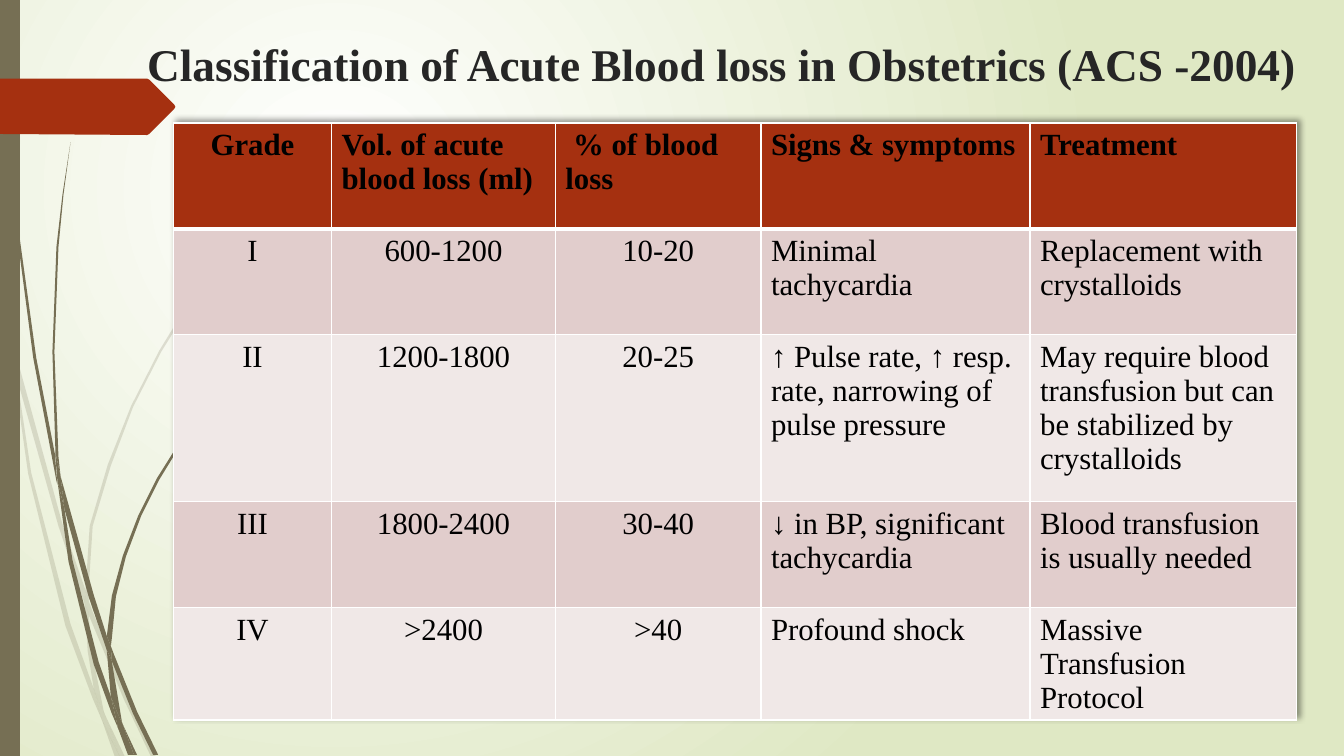
from dataclasses import dataclass

from lxml import etree
from pptx import Presentation
from pptx.dml.color import RGBColor
from pptx.enum import text
from pptx.oxml import ns
from pptx.util import Pt


@dataclass(frozen=True)
class Theme:
    font: str = "Times New Roman"
    title_size: float = 32.4
    table_size: float = 22
    title: str = "262626"
    ink: str = "000000"
    stem: str = "766F54"
    accent: str = "A53010"
    band_dark: str = "E1CDCC"
    band_light: str = "F0E8E7"
    white: str = "FFFFFF"
    meadow: str = "DFE8C4"


THEME = Theme()
OUTLINE_UNIT = Pt(0.72)

PALE_STEMS = [
    [11, 350, 9, 322, 0, 282, 0, 299, 10, 344],
    [58, 522, 84, 599, 85, 586, 62, 520, 14, 345, 17, 376],
    [92, 607, 88, 596, 88, 610, 123, 694, 150, 751, 155, 751, 127, 692],
    [119, 751, 124, 751, 105, 711],
    [93, 683, 70, 619, 31, 469, 17, 376, 11, 350, 28, 470, 65, 621, 92, 693,
     101, 714, 99, 707],
    [84, 599, 87, 646, 93, 683, 96, 692, 105, 711, 103, 706, 91, 646, 88, 610,
     88, 608],
    [88, 584, 92, 522, 110, 462, 132, 404, 160, 349, 193, 296, 229, 245, 268, 198,
     290, 175, 312, 154, 312, 153, 289, 175, 268, 197, 228, 244, 191, 294, 158, 348,
     130, 403, 107, 461, 89, 522, 85, 584, 85, 586, 88, 596],
    [101, 714, 114, 751, 119, 751],
    [88, 608, 88, 610, 88, 596, 85, 586, 84, 599],
    [96, 692, 93, 683, 99, 707, 101, 714, 119, 751, 105, 711],
]

DARK_STEMS = [
    [7, 110, 17, 233, 33, 355, 56, 477, 57, 481, 55, 457, 55, 453, 36, 355,
     19, 232, 8, 109, 5, 48, 4, 0, 3, 0, 4, 48],
    [88, 592, 106, 645, 106, 633, 106, 631, 93, 590, 60, 472, 64, 505],
    [113, 649, 110, 641, 111, 656, 132, 708, 152, 749, 157, 749, 136, 706],
    [110, 691, 98, 657, 72, 556, 64, 505, 57, 477, 68, 557, 93, 659, 111, 708,
     117, 722, 116, 717],
    [60, 472, 58, 453, 54, 349, 58, 245, 63, 193, 70, 141, 62, 193, 56, 245,
     52, 349, 55, 449],
    [133, 749, 136, 749, 122, 719],
    [57, 477, 64, 505, 60, 472, 55, 449, 55, 453],
    [111, 633, 115, 592, 125, 552, 140, 512, 158, 476, 180, 440, 205, 406, 231, 374,
     245, 359, 261, 344, 260, 344, 245, 358, 231, 373, 204, 405, 178, 439, 156, 474,
     137, 512, 122, 551, 111, 591, 106, 631, 110, 641],
    [117, 722, 127, 749, 131, 749],
    [106, 645, 110, 691, 116, 706, 122, 719, 121, 716, 111, 656, 109, 651],
    [106, 645, 109, 651, 111, 656, 110, 641, 106, 631, 106, 633],
    [116, 706, 110, 691, 116, 717, 117, 722, 130, 749, 133, 749, 122, 719],
]

SIDE_BAR = [0, 0, 20, 0, 20, 750, 0, 750]
PAGE_TAB = [0, 78, 146, 78, 148, 79, 173, 104, 174, 106, 173, 108, 148, 133, 146, 134, 0, 133]

COLUMN_WIDTHS = [113.04, 159.84, 146.88, 192.24, 190.08]
ROW_HEIGHTS = [75.6, 75.6, 119.52, 75.6, 75.6]
CENTRED_COLUMNS = 3
GRADES = [
    ["Grade", "Vol. of acute blood loss (ml)", " % of blood loss", "Signs & symptoms", "Treatment"],
    ["I", "600-1200", "10-20", "Minimal tachycardia", "Replacement with crystalloids"],
    ["II", "1200-1800", "20-25", "↑ Pulse rate, ↑ resp. rate, narrowing of pulse pressure",
     "May require blood transfusion but can be stabilized by crystalloids"],
    ["III", "1800-2400", "30-40", "↓ in BP, significant tachycardia",
     "Blood transfusion is usually needed"],
    ["IV", ">2400", ">40", "Profound shock", "Massive Transfusion Protocol"],
]


def set_all(target, values):
    for name, value in values.items():
        setattr(target, name, value)


def add_element(parent, tag, **attributes):
    return etree.SubElement(parent, ns.qn(tag), attributes)


def write(para, words, size, colour, bold, align):
    para.alignment = align
    span = para.add_run()
    span.text = words
    set_all(span.font, {"name": THEME.font, "size": Pt(size), "bold": bold})
    span.font.color.rgb = RGBColor.from_string(colour)


def paint_background(page):
    fill = page.background.fill
    fill.gradient()
    for stop, colour in zip(fill.gradient_stops, (THEME.white, THEME.meadow)):
        stop.color.rgb = RGBColor.from_string(colour)
    gradient = page.element.find(".//" + ns.qn("a:gradFill"))
    gradient.remove(gradient.find(ns.qn("a:lin")))
    circle = add_element(gradient, "a:path", path="circle")
    add_element(circle, "a:fillToRect", l="50000", t="50000", r="100000", b="100000")


def add_outline(shapes, numbers, colour, opacity=100):
    points = list(zip(numbers[::2], numbers[1::2]))
    builder = shapes.build_freeform(*points[0], scale=OUTLINE_UNIT)
    builder.add_line_segments(points[1:], close=True)
    shape = builder.convert_to_shape()
    shape.shadow.inherit = False
    shape.fill.solid()
    shape.fill.fore_color.rgb = RGBColor.from_string(colour)
    shape.line.fill.background()
    if opacity < 100:
        tint = shape.element.spPr.find(".//" + ns.qn("a:srgbClr"))
        add_element(tint, "a:alpha", val=str(opacity * 1000))


def add_stems(page, outlines, opacity):
    group = page.shapes.add_group_shape()
    for outline in outlines:
        add_outline(group.shapes, outline, THEME.stem, opacity)


def place_title(page, words):
    title = page.shapes.title
    title.element.getparent().append(title.element)
    set_all(title, {"left": Pt(93.6), "top": Pt(19.44), "width": Pt(843.84), "height": Pt(58.32)})
    set_all(title.text_frame, {
        "word_wrap": True,
        "auto_size": text.MSO_AUTO_SIZE.NONE,
        "vertical_anchor": text.MSO_ANCHOR.TOP,
        "margin_top": Pt(6.5),
    })
    write(title.text_frame.paragraphs[0], words, THEME.title_size, THEME.title, True,
          text.PP_ALIGN.CENTER)


def add_borders(cell, widths):
    properties = cell._tc.get_or_add_tcPr()
    for position, (side, width) in enumerate(widths.items()):
        line = add_element(properties, "a:ln" + side, w=str(Pt(width)))
        fill = add_element(line, "a:solidFill")
        add_element(fill, "a:srgbClr", val=THEME.white)
        properties.insert(position, line)


def format_cell(cell, words, row, column):
    header = row == 0
    band = THEME.band_dark if row % 2 else THEME.band_light
    cell.fill.solid()
    cell.fill.fore_color.rgb = RGBColor.from_string(THEME.accent if header else band)
    centred = column == 0 or (not header and column < CENTRED_COLUMNS)
    align = text.PP_ALIGN.CENTER if centred else text.PP_ALIGN.LEFT
    write(cell.text_frame.paragraphs[0], words, THEME.table_size, THEME.ink, header, align)
    add_borders(cell, {"L": 1, "R": 1, "T": 3 if row == 1 else 1, "B": 3 if header else 1})


def add_table_shadow(table):
    effects = etree.Element(ns.qn("a:effectLst"))
    shadow = add_element(effects, "a:outerShdw", blurRad=str(Pt(4)), dist=str(Pt(3)),
                         dir="18900000", algn="bl", rotWithShape="0")
    colour = add_element(shadow, "a:srgbClr", val=THEME.ink)
    add_element(colour, "a:alpha", val="40000")
    table._tbl.tblPr.insert(0, effects)


def add_grade_table(page):
    frame = page.shapes.add_table(len(GRADES), len(COLUMN_WIDTHS), Pt(123.84), Pt(87.84),
                                  Pt(sum(COLUMN_WIDTHS)), Pt(sum(ROW_HEIGHTS)))
    table = frame.table
    for column, width in zip(table.columns, COLUMN_WIDTHS):
        column.width = Pt(width)
    for row, height in zip(table.rows, ROW_HEIGHTS):
        row.height = Pt(height)
    for row, entries in enumerate(GRADES):
        for column, words in enumerate(entries):
            format_cell(table.cell(row, column), words, row, column)
    add_table_shadow(table)


def main():
    deck = Presentation()
    set_all(deck, {"slide_width": Pt(960), "slide_height": Pt(540)})
    page = deck.slides.add_slide(deck.slide_layouts.get_by_name("Title Only"))
    paint_background(page)
    add_stems(page, PALE_STEMS, 20)
    add_stems(page, DARK_STEMS, 100)
    add_outline(page.shapes, SIDE_BAR, THEME.stem)
    add_outline(page.shapes, PAGE_TAB, THEME.accent)
    place_title(page, "Classification of Acute Blood loss in Obstetrics (ACS -2004)")
    add_grade_table(page)
    deck.save("out.pptx")


if __name__ == "__main__":
    main()
